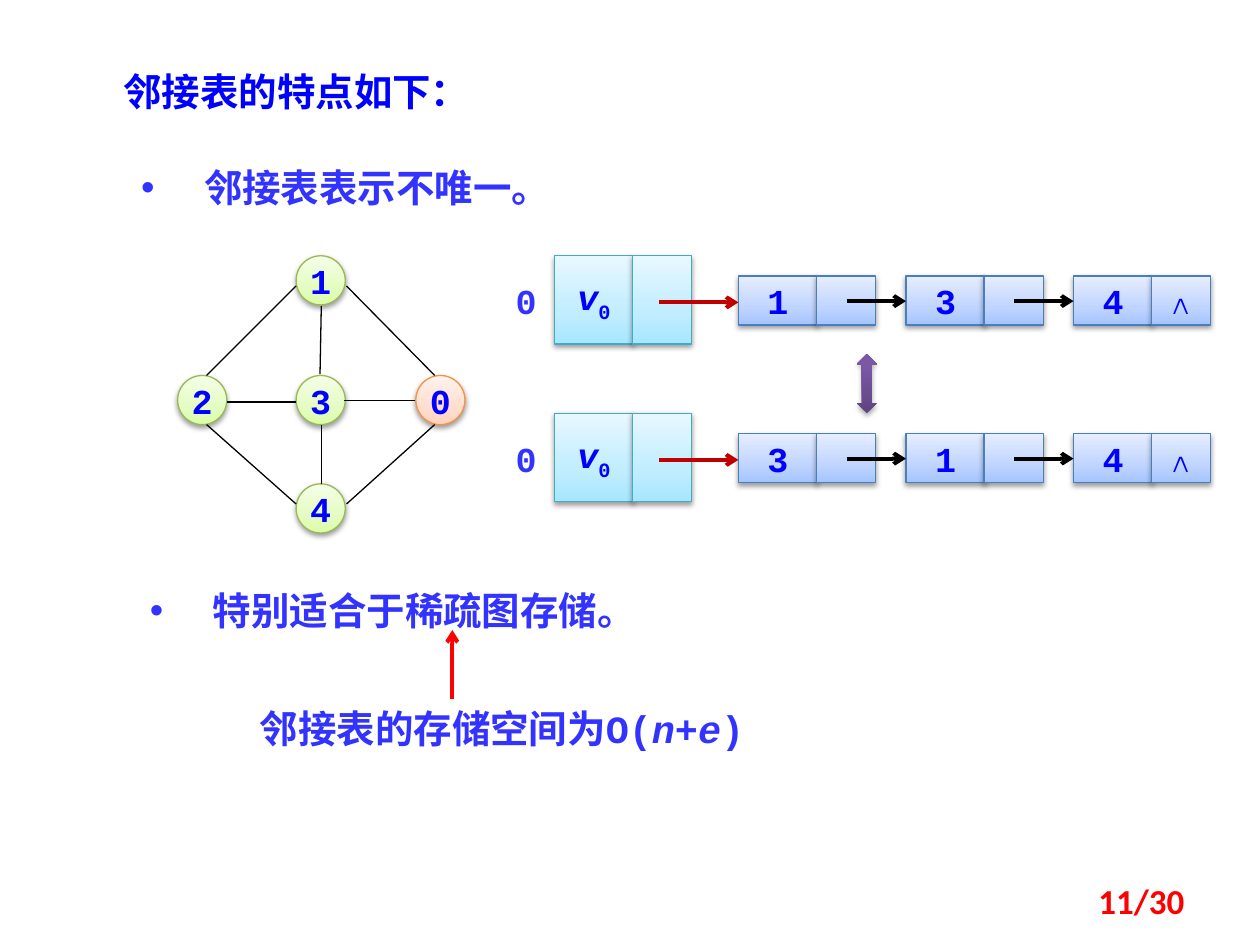
import lxml.etree
import pptx
import pptx.dml.color
import pptx.enum.shapes
import pptx.enum.text
import pptx.oxml.ns
import pptx.util

Inches, Pt = pptx.util.Inches, pptx.util.Pt
RGBColor = pptx.dml.color.RGBColor
SHAPE = pptx.enum.shapes.MSO_SHAPE
ALIGN = pptx.enum.text.PP_ALIGN
ANCHOR = pptx.enum.text.MSO_ANCHOR
qn = pptx.oxml.ns.qn

BLUE = RGBColor(0x00, 0x00, 0xFF)
VIOLET_BLUE = RGBColor(0x33, 0x33, 0xFF)
RED = RGBColor(0xFF, 0x00, 0x00)
DARK_RED = RGBColor(0xC0, 0x00, 0x00)
BLACK = RGBColor(0x00, 0x00, 0x00)
GREEN_EDGE = RGBColor(0x98, 0xB9, 0x55)
ORANGE_EDGE = RGBColor(0xF6, 0x92, 0x40)
STEEL_EDGE = RGBColor(0x4B, 0x7E, 0xBC)
CYAN_EDGE = RGBColor(0x46, 0xAA, 0xC5)

CJK = "Noto Sans CJK SC"
HEADING = {"name": CJK, "size": Pt(22), "bold": True}
FORMULA = {"name": "Courier New", "size": Pt(22), "bold": True}
LABEL = {"name": "Courier New", "size": Pt(20), "bold": True}
PAGE = {"name": "Calibri", "size": Pt(20), "bold": True}


def gradient(middle, *colors):
    """Return gradient stops at 0, middle and 100 percent."""
    return list(zip((0, middle, 100), map(RGBColor.from_string, colors)))


GREEN = gradient(35, "DAFDA7", "E4FCC2", "F5FFE7")
ORANGE = gradient(35, "FFD2BD", "FFDED0", "FFF2ED")
STEEL = gradient(35, "A4C4FF", "BFD4FF", "E6EEFF")
CYAN = gradient(35, "A7E6FF", "C1EDFF", "E7F8FF")
PURPLE = gradient(80, "5F4480", "7B58A6", "7C57A8")


def add_element(parent, tag, **attributes):
    """Append a DrawingML element to parent."""
    element = lxml.etree.SubElement(parent, qn(tag))
    for key, value in attributes.items():
        element.set(key, str(value))
    return element


def apply(target, values):
    """Set attributes of target from a dict."""
    for key, value in values.items():
        setattr(target, key, value)


def write(shape, runs, font, color, align, anchor=ANCHOR.TOP, wrap=True, **frame):
    """Write (text, overrides) runs as the one paragraph of shape."""
    apply(shape.text_frame, {"vertical_anchor": anchor, "word_wrap": wrap,
                             "auto_size": pptx.enum.text.MSO_AUTO_SIZE.NONE, **frame})
    paragraph = shape.text_frame.paragraphs[0]
    apply(paragraph, {"alignment": align, "space_before": Pt(0)})
    for text, overrides in runs:
        run = paragraph.add_run()
        run.text = text
        apply(run.font, {**font, **overrides})
        run.font.color.rgb = color
        add_element(run._r.get_or_add_rPr(), "a:ea", typeface=CJK)
    return paragraph


def place(shape, left, top, width, height):
    """Move and size a shape, in inches."""
    apply(shape, {"left": Inches(left), "top": Inches(top),
                  "width": Inches(width), "height": Inches(height)})


def add_bullet(body, text, left, top):
    """Fill a body placeholder with one bulleted line."""
    place(body, left, top, 5.08, 0.47)
    paragraph = write(body, [(text, {})], HEADING, VIOLET_BLUE, ALIGN.JUSTIFY)
    properties = paragraph._p.get_or_add_pPr()
    properties.set("marL", str(Inches(0.5)))
    properties.set("indent", str(Inches(-0.5)))
    add_element(properties, "a:buFont", typeface="Arial")
    add_element(properties, "a:buChar", char="•")


def add_text(slide, box, *content, **options):
    """Add a text box at box, in inches."""
    write(slide.shapes.add_textbox(*map(Inches, box)), *content, **options)


def add_solid(slide, kind, box, stops, edge=None, runs=(), opacity=38, distance=1.6):
    """Add a shape with a gradient, a soft shadow and centred text."""
    shape = slide.shapes.add_shape(kind, *map(Inches, box))
    shape.fill.gradient()
    shape.fill.gradient_angle = 90
    stop_list = shape._element.spPr.find(".//" + qn("a:gsLst"))
    stop_list.clear()
    for position, color in stops:
        stop = add_element(stop_list, "a:gs", pos=position * 1000)
        add_element(stop, "a:srgbClr", val=color)
    if edge is None:
        shape.line.fill.background()
    else:
        shape.line.color.rgb = edge
        shape.line.width = Pt(0.75)
    shape.shadow.inherit = False
    effects = shape._element.spPr.find(qn("a:effectLst"))
    shadow = add_element(effects, "a:outerShdw", blurRad=Pt(3.1), dist=Pt(distance),
                         dir=5400000, rotWithShape=0)
    shade = add_element(shadow, "a:srgbClr", val=BLACK)
    add_element(shade, "a:alpha", val=opacity * 1000)
    if runs:
        write(shape, runs, LABEL, BLUE, ALIGN.CENTER, ANCHOR.MIDDLE, wrap=False)


def add_line(slide, start, end, color=BLACK, arrow=False):
    """Add a thin line, or a thick line with an arrowhead at its end."""
    line = slide.shapes.add_connector(pptx.enum.shapes.MSO_CONNECTOR.STRAIGHT,
                                      *map(Inches, (*start, *end)))
    line.line.color.rgb = color
    line.line.width = Pt(2.25 if arrow else 0.75)
    if arrow:
        add_element(line.line._get_or_add_ln(), "a:tailEnd", type="arrow")
    add_element(line._element.spPr, "a:effectLst")


def add_graph(slide):
    """Draw the five-vertex undirected graph."""
    vertices = {"1": (2.35, 2.03), "3": (2.35, 2.98), "2": (1.41, 2.98),
                "0": (3.3, 2.98), "4": (2.35, 3.84)}
    for label, corner in vertices.items():
        stops, edge = (ORANGE, ORANGE_EDGE) if label == "0" else (GREEN, GREEN_EDGE)
        add_solid(slide, SHAPE.OVAL, (*corner, 0.39, 0.39), stops, edge, [(label, {})])
    for start, end in (((2.35, 2.27), (1.64, 2.98)), ((2.75, 2.27), (3.45, 2.98)),
                       ((1.8, 3.19), (2.35, 3.19)), ((2.73, 3.18), (3.29, 3.18)),
                       ((2.55, 2.43), (2.54, 2.97)), ((1.64, 3.37), (2.35, 4)),
                       ((2.55, 3.37), (2.55, 3.84)), ((3.45, 3.37), (2.75, 4))):
        add_line(slide, start, end)


def add_record(slide, left, top, height, stops, edge, runs, link=()):
    """Draw a data field with its pointer field."""
    add_solid(slide, SHAPE.RECTANGLE, (left, top, 0.63, height), stops, edge, runs)
    add_solid(slide, SHAPE.RECTANGLE, (left + 0.62, top, 0.47, height), stops, edge, link)


def add_adjacency_list(slide, top, neighbours):
    """Draw the head record of vertex 0 and its chain of neighbours."""
    first, step = 5.86, 1.33
    for index, neighbour in enumerate(neighbours):
        last = index == len(neighbours) - 1
        add_record(slide, first + index * step, top + 0.16, 0.39, STEEL, STEEL_EDGE,
                   [(neighbour, {})], [("∧", {})] if last else ())
    for index in range(1, len(neighbours)):
        tip = first + index * step
        add_line(slide, (tip - 0.47, top + 0.36), (tip, top + 0.36), arrow=True)
    add_record(slide, 4.4, top, 0.7, CYAN, CYAN_EDGE,
               [("v", {"italic": True}), ("0", {"_element_baseline": None})][:1])
    head = slide.shapes[-2].text_frame.paragraphs[0]
    subscript = head.add_run()
    subscript.text = "0"
    apply(subscript.font, LABEL)
    subscript.font.color.rgb = BLUE
    subscript._r.get_or_add_rPr().set("baseline", "-25000")
    add_text(slide, (3.98, top + 0.19, 0.39, 0.34), [("0", {})], LABEL, VIOLET_BLUE,
             ALIGN.CENTER, margin_left=0, margin_right=0, margin_top=0, margin_bottom=0)
    add_line(slide, (5.23, top + 0.37), (first, top + 0.37), DARK_RED, arrow=True)


def main():
    """Build the slide on the features of adjacency lists."""
    presentation = pptx.Presentation()
    apply(presentation, {"slide_width": Inches(10), "slide_height": Inches(7.5)})
    slide = presentation.slides.add_slide(presentation.slide_layouts[3])
    heading, uniqueness, sparsity = slide.placeholders
    place(heading, 0.88, 0.49, 4.74, 0.47)
    write(heading, [("邻接表的特点如下：", {})], HEADING, BLUE, ALIGN.JUSTIFY)
    add_bullet(uniqueness, "邻接表表示不唯一。", 1.02, 1.25)
    add_bullet(sparsity, "特别适合于稀疏图存储。", 1.09, 4.61)
    add_graph(slide)
    add_adjacency_list(slide, 2.03, "134")
    add_adjacency_list(slide, 3.28, "314")
    add_solid(slide, SHAPE.UP_DOWN_ARROW, (6.8, 2.81, 0.16, 0.47), PURPLE,
              opacity=35, distance=1.8)
    add_line(slide, (3.59, 5.55), (3.59, 5), RED, arrow=True)
    add_text(slide, (1.72, 5.55, 4.53, 0.47),
             [("邻接表的存储空间为O(", {}), ("n+e", {"italic": True}), (")", {})],
             FORMULA, VIOLET_BLUE, ALIGN.CENTER)
    add_text(slide, (7.17, 6.95, 2.33, 0.4), [("11/30", {})], PAGE, RED,
             ALIGN.RIGHT, anchor=ANCHOR.MIDDLE)
    presentation.save("out.pptx")


if __name__ == "__main__":
    main()
